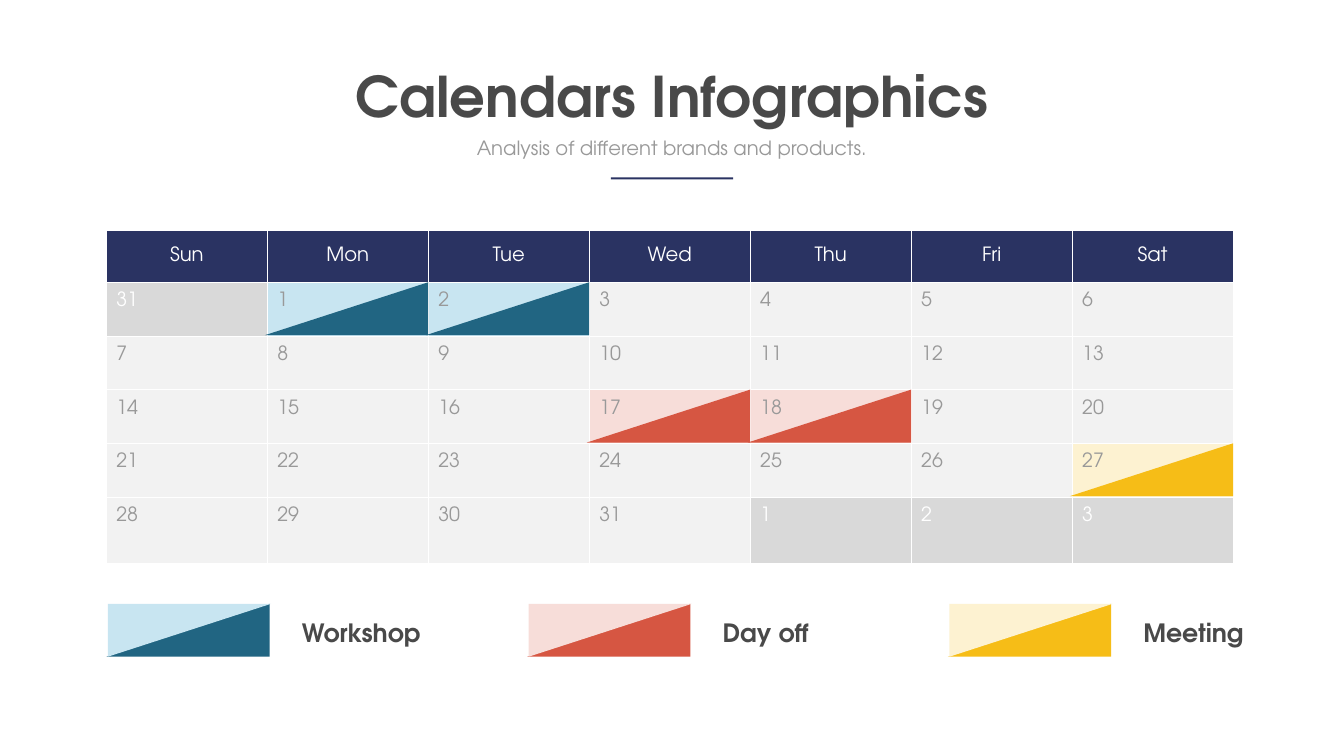
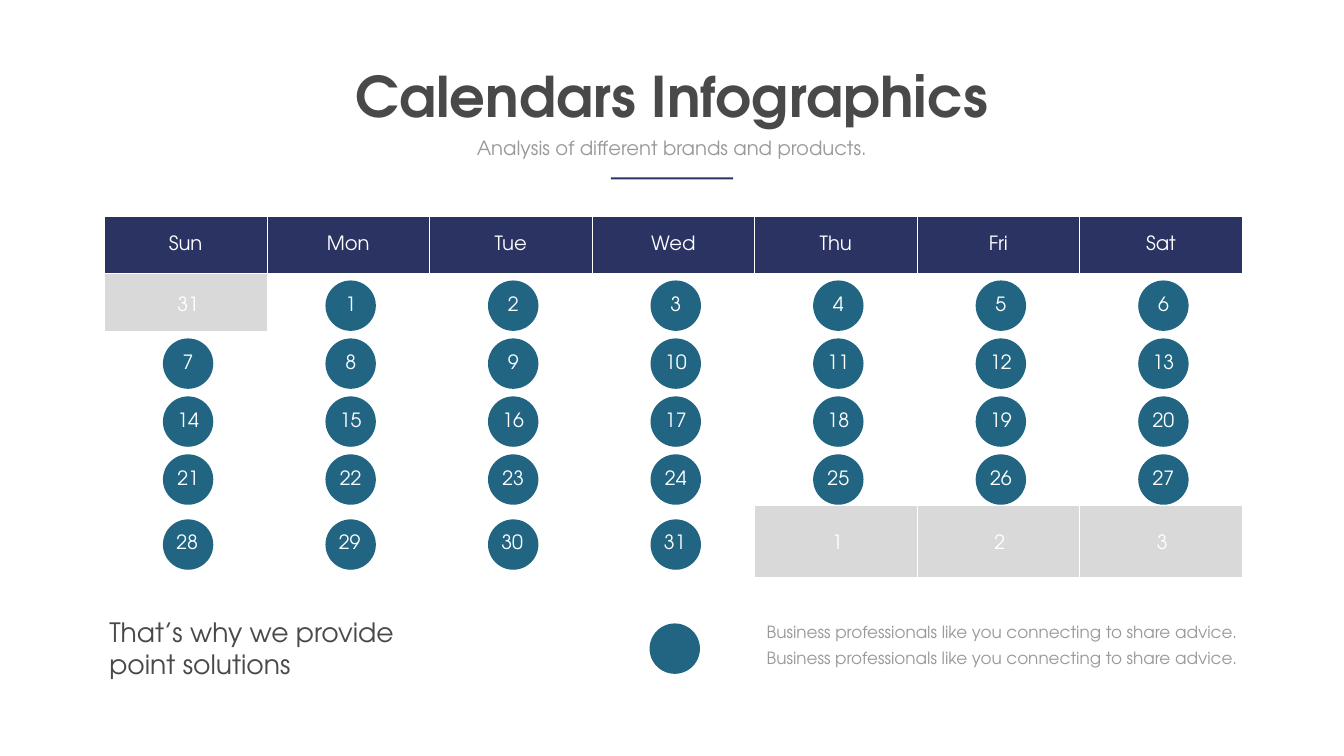
from lxml.etree import SubElement
from pptx import Presentation
from pptx.dml.color import RGBColor
from pptx.enum.shapes import MSO_SHAPE
from pptx.enum.text import MSO_ANCHOR, MSO_AUTO_SIZE, PP_ALIGN
from pptx.oxml.ns import qn
from pptx.util import Inches, Pt

FONT = "TeX Gyre Adventor"
WHITE = RGBColor(0xFF, 0xFF, 0xFF)
DARK = RGBColor(0x49, 0x49, 0x49)
GRAY = RGBColor(0x99, 0x99, 0x99)
NAVY = RGBColor(0x2A, 0x33, 0x62)
TEAL = RGBColor(0x21, 0x65, 0x82)
PALE_TEAL = RGBColor(0xC8, 0xE5, 0xF1)
RED = RGBColor(0xD6, 0x56, 0x42)
PALE_RED = RGBColor(0xF7, 0xDD, 0xD9)
YELLOW = RGBColor(0xF6, 0xBD, 0x17)
PALE_YELLOW = RGBColor(0xFD, 0xF2, 0xD1)
DAY_FILL = RGBColor(0xF2, 0xF2, 0xF2)
OUTSIDE_FILL = RGBColor(0xD9, 0xD9, 0xD9)

WEEKDAYS = ["Sun", "Mon", "Tue", "Wed", "Thu", "Fri", "Sat"]
DAYS = [31, *range(1, 32), 1, 2, 3]
WEEKS = [DAYS[i:i + 7] for i in range(0, len(DAYS), 7)]
EVENTS = [
    ("Workshop", TEAL, PALE_TEAL, [(0, 1), (0, 2)]),
    ("Day off", RED, PALE_RED, [(2, 3), (2, 4)]),
    ("Meeting", YELLOW, PALE_YELLOW, [(3, 6)]),
]
TRIANGLE_W, TRIANGLE_H = 3.24, 1.05


def is_outside(week, col):
    """Tell whether the day belongs to a neighbouring month."""
    return (week, col) == (0, 0) or (week == 4 and col > 3)


def style(p, size, color, align=PP_ALIGN.LEFT, bold=False):
    p.alignment = align
    f = p.font
    f.name, f.size, f.bold = FONT, Pt(size), bold
    f.color.rgb = color


def add_text(s, box, lines, size, color, align=PP_ALIGN.LEFT, bold=False,
             wrap=True, spacing=None):
    tf = s.shapes.add_textbox(*map(Inches, box)).text_frame
    tf.word_wrap = wrap
    tf.auto_size = MSO_AUTO_SIZE.SHAPE_TO_FIT_TEXT
    tf.text = "\n".join(lines)
    for p in tf.paragraphs:
        style(p, size, color, align, bold)
        if spacing:
            p.line_spacing = Pt(spacing)


def add_plain(s, kind, box, color):
    sp = s.shapes.add_shape(kind, *map(Inches, box))
    sp.shadow.inherit = False
    sp.fill.solid()
    sp.fill.fore_color.rgb = color
    sp.line.fill.background()
    return sp


def add_triangle(s, x, y, color, rotation=0):
    sp = add_plain(s, MSO_SHAPE.RIGHT_TRIANGLE,
                   (x, y, TRIANGLE_W, TRIANGLE_H), color)
    sp.rotation = rotation
    sp._element.spPr.find(qn("a:xfrm")).set("flipH", "1")


def add_dot(s, x, y):
    add_plain(s, MSO_SHAPE.OVAL, (x, y, 1, 1), TEAL)


def add_header(s):
    add_text(s, (6.89, 1.17, 12.89, 1.45), ["Calendars Infographics"], 80, DARK,
             PP_ALIGN.CENTER, bold=True, wrap=False)
    add_text(s, (8.55, 2.65, 9.56, 0.57),
             ["Analysis of different brands and products."], 28, GRAY,
             PP_ALIGN.CENTER)
    add_plain(s, MSO_SHAPE.RECTANGLE, (12.12, 3.52, 2.43, 0.04), NAVY)


def fill_cell(cell, text, fill, color, align, anchor, margins):
    tc_pr = cell._tc.get_or_add_tcPr()
    for side in ("lnL", "lnR", "lnT", "lnB"):
        ln = SubElement(tc_pr, qn(f"a:{side}"), w=str(Pt(1)))
        SubElement(SubElement(ln, qn("a:solidFill")), qn("a:srgbClr"),
                   val=str(WHITE))
    if fill is None:
        cell.fill.background()
    else:
        cell.fill.solid()
        cell.fill.fore_color.rgb = fill
    (cell.margin_left, cell.margin_top,
     cell.margin_right, cell.margin_bottom) = map(Inches, margins)
    cell.vertical_anchor = anchor
    cell.text = str(text)
    style(cell.text_frame.paragraphs[0], 28, color, align)


def add_calendar(s, box, row_heights, day_look, align, anchor):
    """Draw the month; day_look(week, col) gives a day's fill and text colour."""
    table = s.shapes.add_table(6, 7, *map(Inches, box)).table
    table.first_row = table.horz_banding = False
    for column in table.columns:
        column.width = Inches(box[2] / 7)
    for row, height in zip(table.rows, row_heights):
        row.height = Inches(height)
    for col, name in enumerate(WEEKDAYS):
        fill_cell(table.cell(0, col), name, NAVY, WHITE, PP_ALIGN.CENTER,
                  MSO_ANCHOR.MIDDLE, (0.14, 0.07, 0.14, 0.07))
    for week, days in enumerate(WEEKS):
        margins = (0.2, 0.2, 0.14, 0.07) if week == 4 else (0.2, 0.2, 0.1, 0.05)
        for col, day in enumerate(days):
            fill, color = day_look(week, col)
            fill_cell(table.cell(week + 1, col), day, fill, color, align,
                      anchor, margins)


def add_legend(s, left, top, pitch):
    for i, (name, color, pale, _) in enumerate(EVENTS):
        x = left + i * pitch
        add_triangle(s, x, top, color)
        add_triangle(s, x + 0.03, top, pale, rotation=180)
        add_text(s, (x + 3.78, top + 0.21, 2.59, 0.71), [name], 36, DARK,
                 bold=True)


def event_slide(prs):
    s = prs.slides.add_slide(prs.slide_layouts[6])
    add_header(s)
    left, top, width, height = box = (2.11, 4.56, 22.36, 6.62)
    rows = [1.04] + [1.065] * 4 + [1.32]
    pale_days = {day: pale for _, _, pale, days in EVENTS for day in days}

    def day_look(week, col):
        if is_outside(week, col):
            return OUTSIDE_FILL, WHITE
        return pale_days.get((week, col), DAY_FILL), GRAY

    add_calendar(s, box, rows, day_look, PP_ALIGN.LEFT, MSO_ANCHOR.TOP)
    for _, color, _, days in EVENTS:
        for week, col in days:
            right = left + (col + 1) * width / 7
            add_triangle(s, right - TRIANGLE_W, top + sum(rows[:week + 1]), color)
    add_legend(s, 2.11, 11.98, 8.35)


def add_day_dots(s, box, rows):
    """Place a dot behind each day number, which the cell margins shift."""
    left, top, width, _ = box
    for week in range(5):
        y = top + sum(rows[:week + 1]) + rows[week + 1] / 2 - 0.5 + 0.07
        for col in range(7):
            if not is_outside(week, col):
                add_dot(s, left + (col + 0.5) * width / 7 - 0.5 + 0.05, y)


def add_footer(s, left, top, width):
    add_text(s, (left + width - 9.77, top, 9.77, 1.08),
             [" ".join(["Business professionals like you connecting to share advice."] * 2)],
             24, GRAY, PP_ALIGN.RIGHT, spacing=36.6)
    add_dot(s, left + 10.82, top + 0.19)
    add_text(s, (left, top, 8.75, 1.38),
             ["That’s why we provide", "point solutions"], 38, DARK)


def dot_slide(prs):
    s = prs.slides.add_slide(prs.slide_layouts[6])
    box = (2.07, 4.3, 22.58, 7.15)
    rows = [1.12] + [1.15] * 4 + [1.43]

    def day_look(week, col):
        return OUTSIDE_FILL if is_outside(week, col) else None, WHITE

    add_day_dots(s, box, rows)
    add_header(s)
    add_calendar(s, box, rows, day_look, PP_ALIGN.CENTER, MSO_ANCHOR.MIDDLE)
    add_footer(s, box[0], 12.18, box[2])


def main():
    prs = Presentation()
    prs.slide_width, prs.slide_height = Inches(26.67), Inches(15)
    event_slide(prs)
    dot_slide(prs)
    prs.save("out.pptx")


if __name__ == "__main__":
    main()
